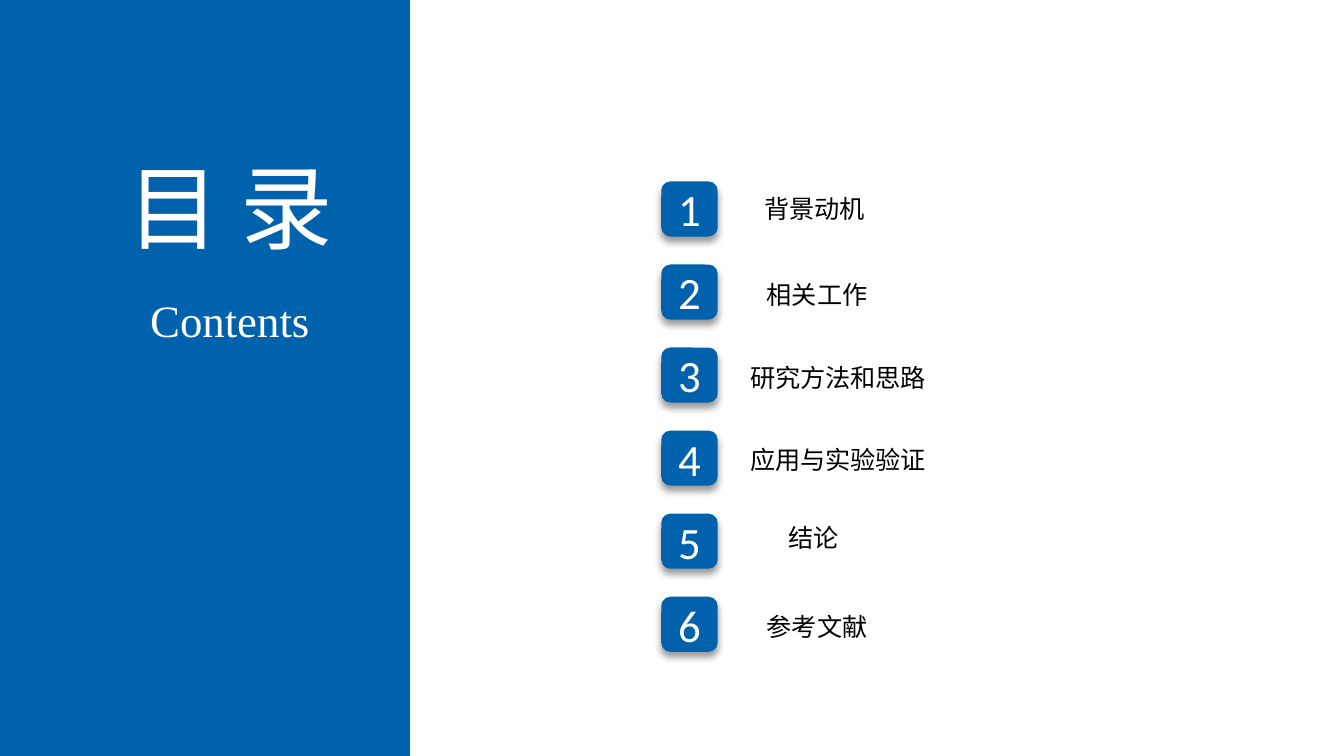
from dataclasses import dataclass

from lxml import etree
from pptx import Presentation
from pptx.dml.color import RGBColor
from pptx.enum.shapes import MSO_SHAPE
from pptx.enum.text import MSO_ANCHOR, MSO_AUTO_SIZE, PP_ALIGN
from pptx.oxml.ns import qn
from pptx.util import Inches, Pt

RECTANGLE = MSO_SHAPE.RECTANGLE
ROUNDED = MSO_SHAPE.ROUNDED_RECTANGLE
CENTER = PP_ALIGN.CENTER
TOP = MSO_ANCHOR.TOP
MIDDLE = MSO_ANCHOR.MIDDLE
FIT_SHAPE = MSO_AUTO_SIZE.SHAPE_TO_FIT_TEXT


@dataclass(frozen=True)
class Theme:
    """Colours, fonts and type sizes of the slide."""

    blue: RGBColor = RGBColor(0x00, 0x62, 0xAC)
    white: RGBColor = RGBColor(0xFF, 0xFF, 0xFF)
    black: RGBColor = RGBColor(0x00, 0x00, 0x00)
    chinese: str = "Noto Sans CJK SC"
    latin: str = "Times New Roman"
    digits: str = "Calibri"
    title_size: float = 49.5
    large_size: float = 24
    label_size: float = 13.5


THEME = Theme()
SLIDE_WIDTH = 10
SLIDE_HEIGHT = SLIDE_WIDTH * 9 / 16
FIRST_TOP, LAST_TOP = 1.35, 4.44
ENTRIES = [
    ("背景动机", 5.58, 1.39, 0.96),
    ("相关工作", 5.6, 2.03, 0.96),
    ("研究方法和思路", 5.47, 2.65, 1.53),
    ("应用与实验验证", 5.47, 3.26, 1.53),
    ("结论", 5.76, 3.84, 0.58),
    ("参考文献", 5.6, 4.5, 0.96),
]


def apply_format(target, values):
    """Set each attribute named in a dict of format values."""
    for name, value in values.items():
        setattr(target, name, value)


def write_text(shape, text, font_name, size, color):
    """Write one centred line in the given font."""
    paragraph = shape.text_frame.paragraphs[0]
    apply_format(paragraph, {"alignment": CENTER, "space_before": Pt(0)})
    run = paragraph.add_run()
    run.text = text
    apply_format(run.font, {"name": font_name, "size": Pt(size), "bold": False})
    run.font.color.rgb = color
    east_asian = etree.SubElement(run.font._element, qn("a:ea"))
    east_asian.set("typeface", font_name)


def place_line(shape, box, text, font_name, size, color):
    """Position a text shape and give it one unwrapped line."""
    names = ("left", "top", "width", "height")
    apply_format(shape, dict(zip(names, map(Inches, box))))
    apply_format(
        shape.text_frame,
        {"word_wrap": False, "auto_size": FIT_SHAPE, "vertical_anchor": TOP},
    )
    write_text(shape, text, font_name, size, color)


def add_block(slide, kind, box):
    """Add a plain blue shape without an outline."""
    shape = slide.shapes.add_shape(kind, *map(Inches, box))
    shape.shadow.inherit = False
    shape.fill.solid()
    shape.fill.fore_color.rgb = THEME.blue
    shape.line.fill.background()
    return shape


def add_drop_shadow(shape):
    """Give a shape a soft shadow straight below it."""
    effects = shape._element.spPr.find(qn("a:effectLst"))
    shadow = etree.SubElement(
        effects,
        qn("a:outerShdw"),
        blurRad=str(Pt(4)),
        dist=str(Pt(3)),
        dir="5400000",
        algn="t",
        rotWithShape="0",
    )
    color = etree.SubElement(shadow, qn("a:srgbClr"), val=str(THEME.black))
    etree.SubElement(color, qn("a:alpha"), val="40000")


def add_number(slide, number, top):
    """Add a rounded badge holding an entry number."""
    badge = add_block(slide, ROUNDED, (4.92, top, 0.42, 0.41))
    add_drop_shadow(badge)
    badge.text_frame.vertical_anchor = MIDDLE
    write_text(badge, str(number), THEME.digits, THEME.large_size, THEME.white)


def add_label(slide, text, left, top, width):
    """Add the heading of one entry."""
    box = (left, top, width, 0.33)
    label = slide.shapes.add_textbox(*map(Inches, box))
    place_line(label, box, text, THEME.chinese, THEME.label_size, THEME.black)


def add_heading(slide):
    """Fill the title and subtitle over the blue side panel."""
    title, subtitle = slide.placeholders
    panel = add_block(slide, RECTANGLE, (0, 0, 3.05, SLIDE_HEIGHT))
    title._element.addprevious(panel._element)
    place_line(title, (0.74, 1.07, 1.94, 0.93), "目 录",
               THEME.chinese, THEME.title_size, THEME.white)
    place_line(subtitle, (1.01, 2.13, 1.4, 0.5), "Contents",
               THEME.latin, THEME.large_size, THEME.white)


def main():
    """Build and save the contents slide."""
    presentation = Presentation()
    apply_format(
        presentation,
        {"slide_width": Inches(SLIDE_WIDTH), "slide_height": Inches(SLIDE_HEIGHT)},
    )
    slide = presentation.slides.add_slide(presentation.slide_layouts[0])
    add_heading(slide)
    pitch = (LAST_TOP - FIRST_TOP) / (len(ENTRIES) - 1)
    for index, entry in enumerate(ENTRIES):
        add_number(slide, index + 1, FIRST_TOP + index * pitch)
        add_label(slide, *entry)
    presentation.save("out.pptx")


if __name__ == "__main__":
    main()
